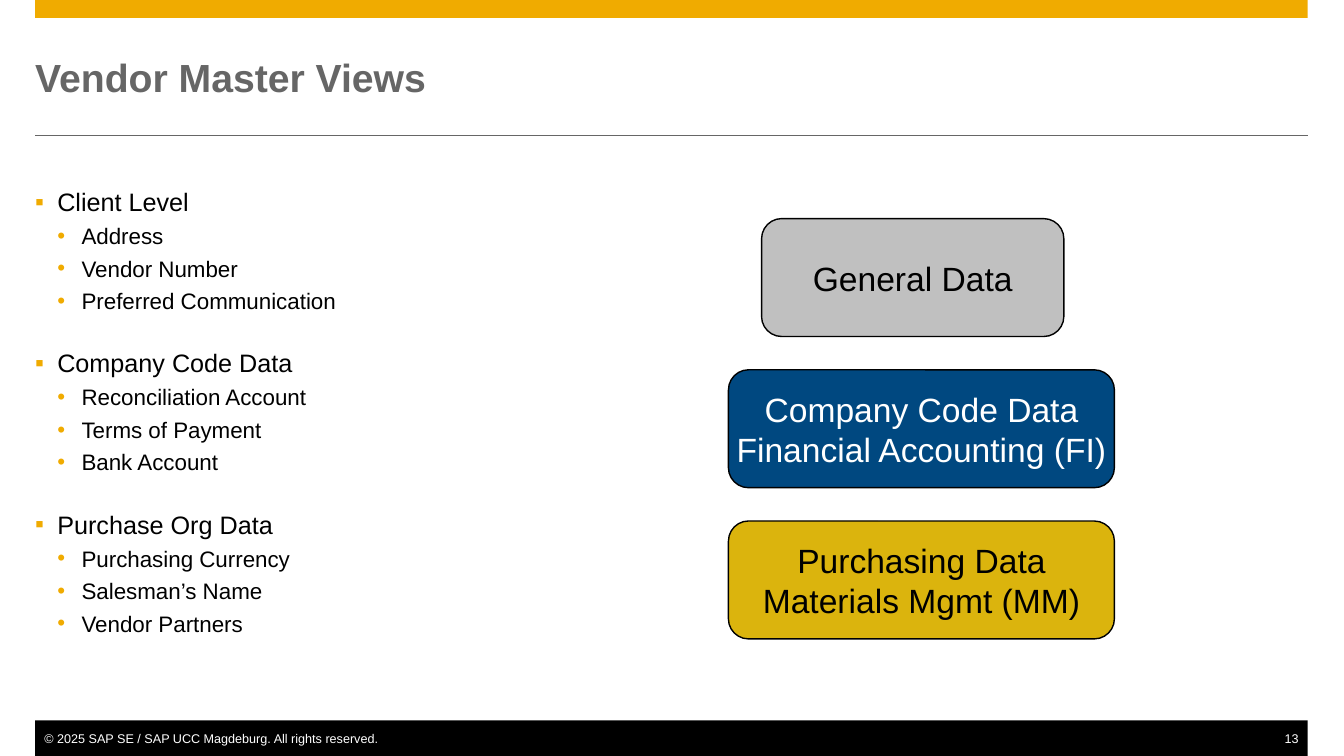
import pptx
import pptx.util
import pptx.dml.color
import pptx.enum.shapes
import pptx.enum.text
import pptx.oxml
import pptx.oxml.ns
from lxml import etree

Pt = pptx.util.Pt
RGBColor = pptx.dml.color.RGBColor
SHAPE = pptx.enum.shapes.MSO_SHAPE
ALIGN = pptx.enum.text.PP_ALIGN
ANCHOR = pptx.enum.text.MSO_ANCHOR
qn = pptx.oxml.ns.qn

COLORS = {
    "gold": "F0AB00", "gray": "666666", "black": "000000", "white": "FFFFFF",
    "silver": "C0C0C0", "blue": "004880", "mustard": "DBB40D",
}
LEFT, WIDTH = 25.2, 909.4

presentation = pptx.Presentation()
presentation.slide_width = Pt(960.5)
presentation.slide_height = Pt(540)
slide = presentation.slides.add_slide(presentation.slide_layouts[6])


def write(shape, lines, size=18, color="black", bold=False, align=ALIGN.LEFT,
          anchor=ANCHOR.TOP, margins=(0, 0, 0, 0), wrap=True):
    """Fill a shape with one paragraph per line and return the paragraphs."""
    frame = shape.text_frame
    frame.word_wrap = wrap
    frame.vertical_anchor = anchor
    (frame.margin_left, frame.margin_top,
     frame.margin_right, frame.margin_bottom) = map(Pt, margins)
    frame.text = "\n".join(lines)
    for paragraph in frame.paragraphs:
        paragraph.alignment = align
        for run in paragraph.runs:
            run.font.name = "Arial"
            run.font.size = Pt(size)
            run.font.bold = bold
            run.font.color.rgb = RGBColor.from_string(COLORS[color])
    return frame.paragraphs


def add_block(kind, left, top, width, height, fill):
    shape = slide.shapes.add_shape(kind, Pt(left), Pt(top), Pt(width), Pt(height))
    shape.shadow.inherit = False
    shape.fill.solid()
    shape.fill.fore_color.rgb = RGBColor.from_string(COLORS[fill])
    shape.line.fill.background()
    return shape


# Frame of the page
add_block(SHAPE.RECTANGLE, LEFT, 0, WIDTH, 12.8, "gold")
add_block(SHAPE.RECTANGLE, LEFT, 514.6, WIDTH, 25.4, "black")
rule = slide.shapes.add_connector(pptx.enum.shapes.MSO_CONNECTOR.STRAIGHT,
                                  Pt(LEFT), Pt(97), Pt(LEFT + WIDTH), Pt(97))
rule.line.color.rgb = RGBColor.from_string(COLORS["gray"])
rule.line.width = Pt(0.5)
etree.SubElement(rule._element.spPr, qn("a:effectLst"))

copyright_box = slide.shapes.add_textbox(Pt(LEFT), Pt(522), Pt(248.4), Pt(10.8))
write(copyright_box, ["© 2025 SAP SE / SAP UCC Magdeburg. All rights reserved."],
      size=9, color="white", margins=(6.5, 0, 0, 0), wrap=False)
page_number = slide.shapes.add_textbox(Pt(916.6), Pt(522), Pt(18), Pt(10.8))
write(page_number, ["13"], size=9, color="white", align=ALIGN.RIGHT,
      margins=(0, 0, 6.5, 0), wrap=False)

title = slide.shapes.add_textbox(Pt(LEFT), Pt(25.2), Pt(WIDTH), Pt(59.8))
write(title, ["Vendor Master Views"], size=28, color="gray", bold=True,
      anchor=ANCHOR.MIDDLE)

# Views and their fields
views = {
    "Client Level": ["Address", "Vendor Number", "Preferred Communication"],
    "Company Code Data": ["Reconciliation Account", "Terms of Payment", "Bank Account"],
    "Purchase Org Data": ["Purchasing Currency", "Salesman’s Name", "Vendor Partners"],
}
lines = [line for view, fields in views.items() for line in [view, *fields]]
body = slide.shapes.add_textbox(Pt(LEFT), Pt(133.2), Pt(WIDTH), Pt(345.6))
for index, paragraph in enumerate(write(body, lines)):
    is_view = paragraph.text in views
    indent, hanging, bullet = (15.8, 15.8, "▪") if is_view else (33.1, 17.3, "•")
    if not is_view:
        paragraph.level = 1
        paragraph.runs[0].font.size = Pt(16)
    if index:
        paragraph.space_before = Pt(24 if is_view else 4)
    properties = paragraph._p.get_or_add_pPr()
    properties.set("marL", str(Pt(indent)))
    properties.set("indent", str(-Pt(hanging)))
    bullet_color = etree.SubElement(properties, qn("a:buClr"))
    etree.SubElement(bullet_color, qn("a:srgbClr"), val=COLORS["gold"])
    etree.SubElement(properties, qn("a:buFont"), typeface="Arial")
    etree.SubElement(properties, qn("a:buChar"), char=bullet)

# Data boxes
boxes = [
    (544.3, 216, "silver", "black", ["General Data"]),
    (520.6, 275.8, "blue", "white", ["Company Code Data", "Financial Accounting (FI)"]),
    (520.6, 275.8, "mustard", "black", ["Purchasing Data", "Materials Mgmt (MM)"]),
]
for row, (left, width, fill, color, labels) in enumerate(boxes):
    box = add_block(SHAPE.ROUNDED_RECTANGLE, left, 156.2 + 108 * row, width, 84.2, fill)
    box.adjustments[0] = 0.17
    box.line.color.rgb = RGBColor.from_string(COLORS["black"])
    box.line.width = Pt(1)
    write(box, labels, size=24, color=color, align=ALIGN.CENTER,
          anchor=ANCHOR.MIDDLE, margins=(7.2, 3.6, 7.2, 3.6), wrap=False)

presentation.save("out.pptx")
